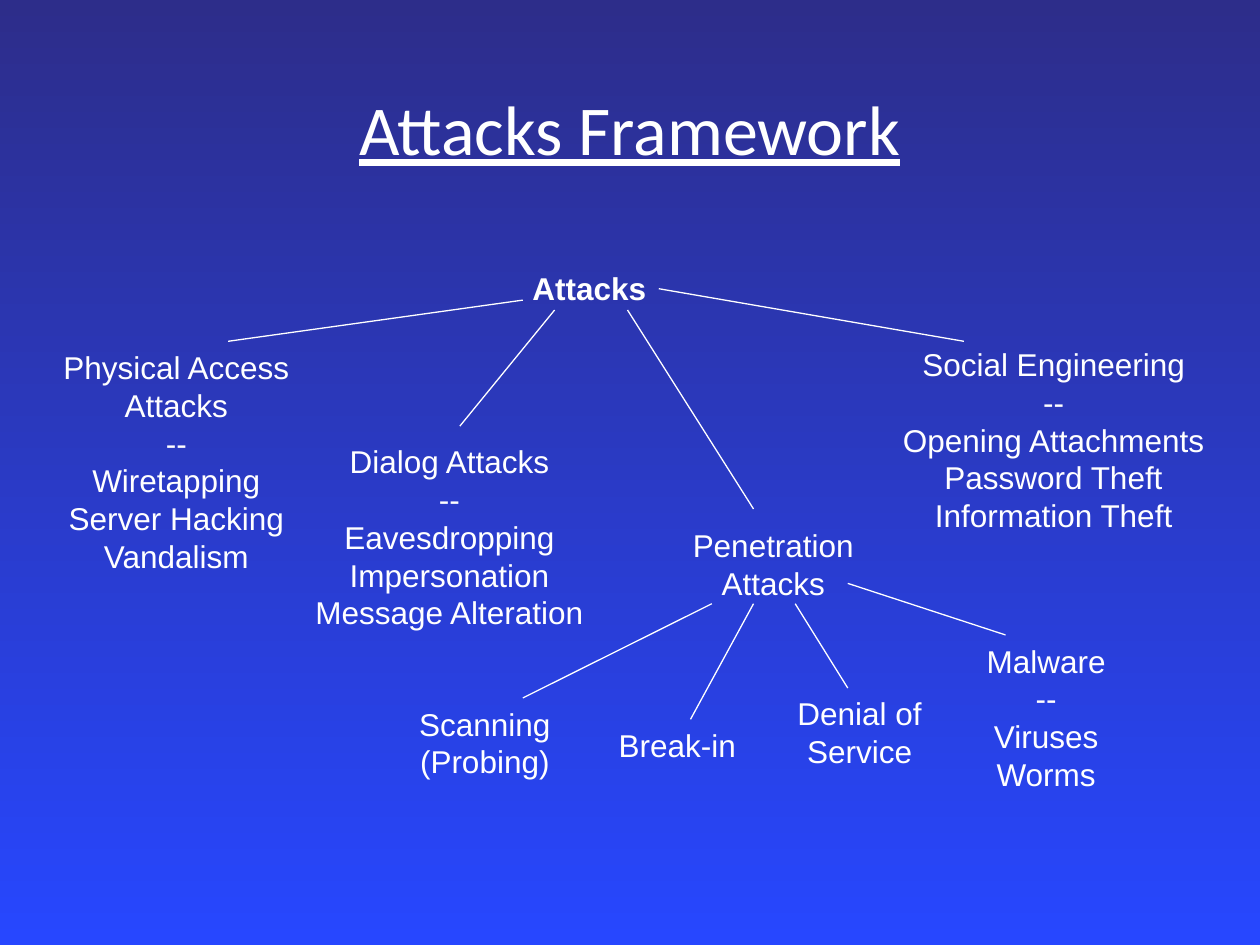
"""Build the Attacks Framework slide, a tree of attack types."""
from lxml import etree
from pptx import Presentation
from pptx.dml.color import RGBColor
from pptx.enum.shapes import MSO_CONNECTOR
from pptx.enum.text import MSO_ANCHOR, MSO_AUTO_SIZE, PP_ALIGN
from pptx.oxml.ns import qn
from pptx.util import Cm, Pt

CENTER = PP_ALIGN.CENTER
MIDDLE = MSO_ANCHOR.MIDDLE
GROW = MSO_AUTO_SIZE.SHAPE_TO_FIT_TEXT
NONE = MSO_AUTO_SIZE.NONE
LINE = MSO_CONNECTOR.STRAIGHT
WHITE = "FFFFFF"


def paint(color, code):
    """Set a colour from a hex string."""
    color.rgb = RGBColor.from_string(code)


def style(frame, name, size):
    """Centre the text and set its font."""
    for para in frame.paragraphs:
        para.alignment = CENTER
        for run in para.runs:
            run.font.name = name
            run.font.size = Pt(size)
            paint(run.font.color, WHITE)


deck = Presentation()
deck.slide_width, deck.slide_height = Cm(25.4), Cm(19.05)
slide = deck.slides.add_slide(deck.slide_layouts[5])

fill = slide.background.fill
fill.gradient()
fill.gradient_angle = 270
for stop, place, code in zip(fill.gradient_stops, (0, 1), ("2D2D8A", "2747FF")):
    stop.position = place
    paint(stop.color, code)

title = slide.shapes.title
title.left, title.top = Cm(2.46), Cm(0.97)
title.width, title.height = Cm(20.47), Cm(3.2)
frame = title.text_frame
frame.text = "Attacks Framework"
frame.auto_size = NONE
frame.vertical_anchor = MIDDLE
frame.margin_left = frame.margin_right = Cm(0.1)
frame.margin_top = frame.margin_bottom = Cm(0.1)
style(frame, "Calibri", 40)
frame.paragraphs[0].runs[0].font.underline = True

nodes = [
    (10.43, 5.29, 2.9, ["Attacks"]),
    (1.0, 6.89, 5.11, ["Physical Access", "Attacks", "--", "Wiretapping",
                       "Server Hacking", "Vandalism"]),
    (6.09, 8.79, 5.94, ["Dialog Attacks", "--", "Eavesdropping",
                        "Impersonation", "Message Alteration"]),
    (13.71, 10.48, 3.76, ["Penetration", "Attacks"]),
    (17.94, 6.83, 6.6, ["Social Engineering", "--", "Opening Attachments",
                        "Password Theft", "Information Theft"]),
    (8.2, 14.08, 3.15, ["Scanning", "(Probing)"]),
    (12.22, 14.51, 2.87, ["Break-in"]),
    (15.82, 13.87, 3.02, ["Denial of", "Service"]),
    (19.63, 12.81, 2.92, ["Malware", "--", "Viruses", "Worms"]),
]
for left, top, width, lines in nodes:
    height = 0.76 * len(lines) + 0.25
    box = slide.shapes.add_textbox(Cm(left), Cm(top), Cm(width), Cm(height))
    frame = box.text_frame
    frame.word_wrap = False
    frame.auto_size = GROW
    frame.text = "\n".join(lines)
    style(frame, "Arial", 18)
    if lines == ["Attacks"]:
        frame.paragraphs[0].runs[0].font.bold = True

links = [
    (10.54, 6.05, 4.6, 6.88),
    (11.18, 6.25, 9.27, 8.59),
    (13.28, 5.82, 19.43, 6.88),
    (12.65, 6.25, 15.19, 10.26),
    (17.09, 11.76, 20.27, 12.8),
    (16.03, 12.17, 17.09, 13.87),
    (15.19, 12.17, 13.92, 14.5),
    (14.35, 12.17, 10.54, 14.07),
]
for ends in links:
    link = slide.shapes.add_connector(LINE, *map(Cm, ends))
    link.line.width = Pt(0.75)
    paint(link.line.color, WHITE)
    etree.SubElement(link.element.spPr, qn("a:effectLst"))

deck.save("out.pptx")
